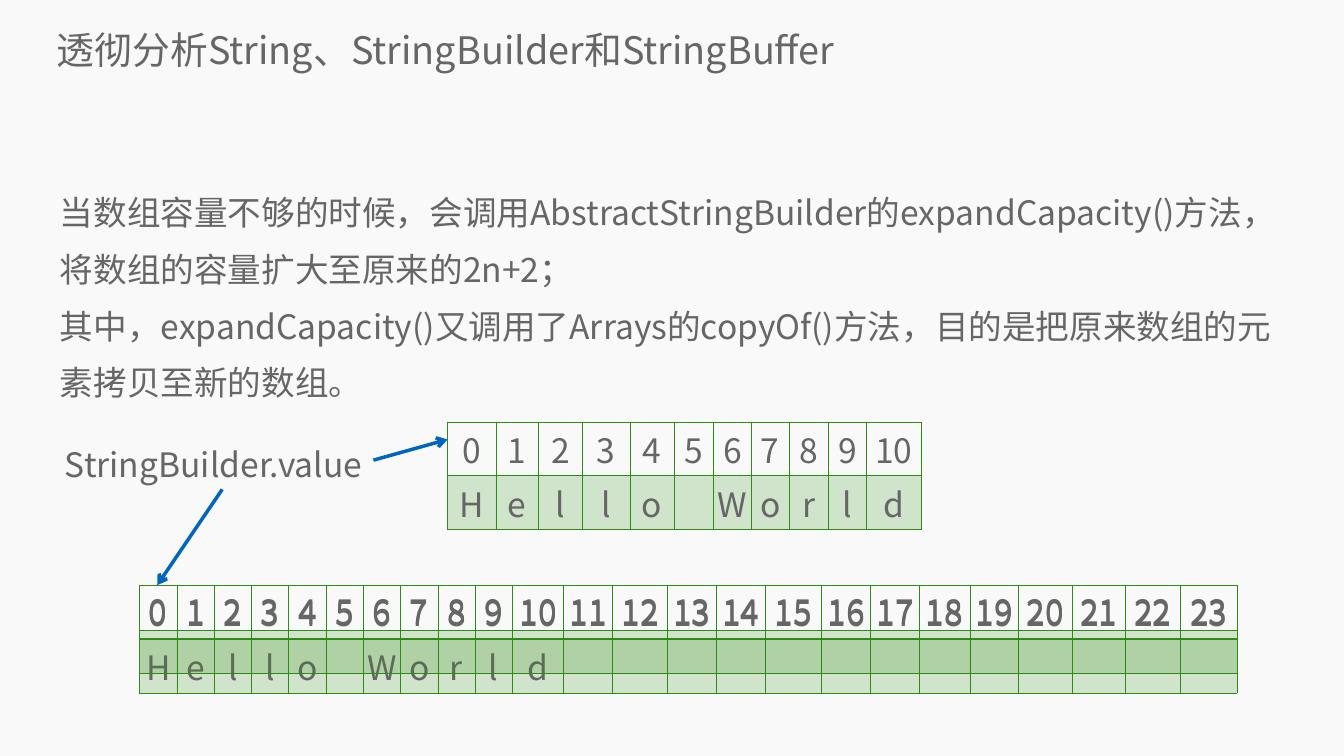
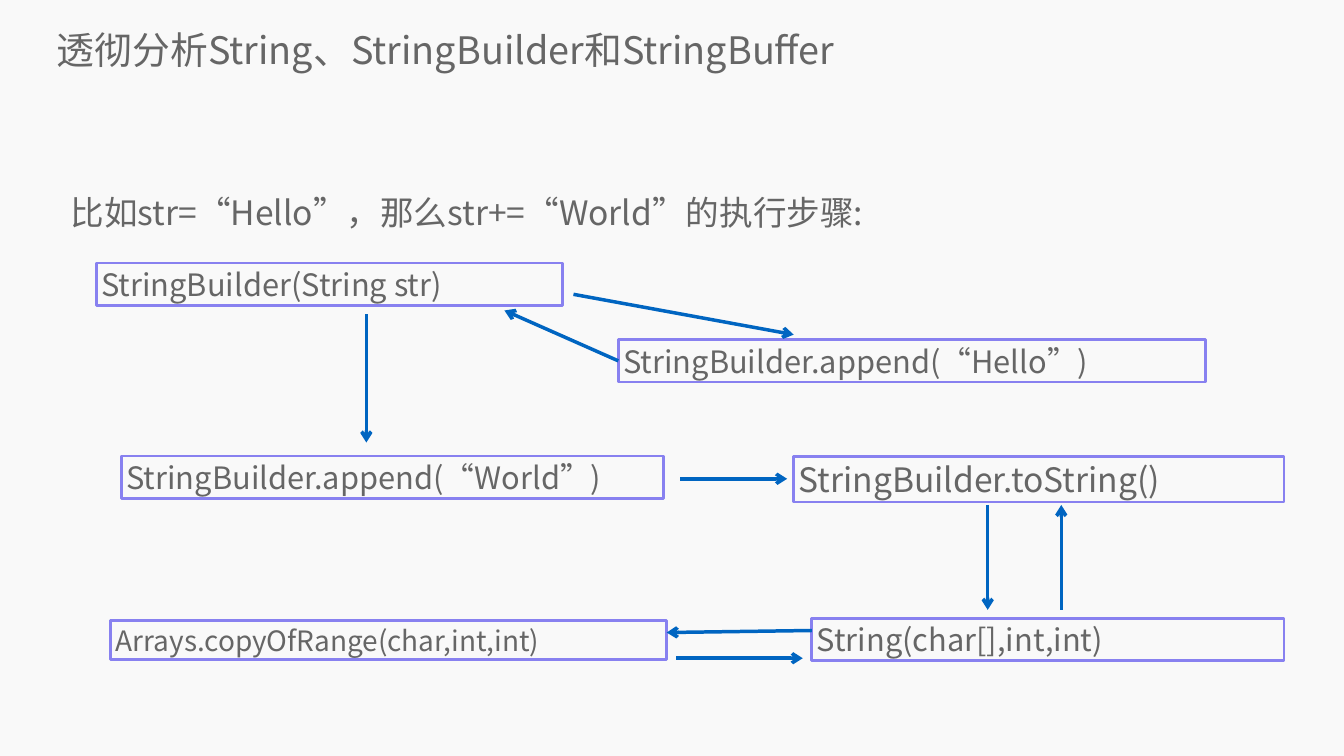
from lxml import etree
from pptx import Presentation
from pptx.dml.color import RGBColor
from pptx.enum.shapes import MSO_CONNECTOR, MSO_SHAPE
from pptx.enum.text import MSO_ANCHOR, PP_ALIGN
from pptx.oxml.ns import qn
from pptx.util import Inches, Pt

STRAIGHT = MSO_CONNECTOR.STRAIGHT
RECTANGLE = MSO_SHAPE.RECTANGLE
TOP, MIDDLE = MSO_ANCHOR.TOP, MSO_ANCHOR.MIDDLE
LEFT, CENTER = PP_ALIGN.LEFT, PP_ALIGN.CENTER
LEFT_SIDE = 1

FONT = "Noto Sans CJK SC"
BACKGROUND, INK = "F9F9F9", "666666"
GREEN, BLUE, PURPLE = "308B16", "0065C1", "8881F0"
TITLE = "透彻分析String、StringBuilder和StringBuffer"
SMALL_COLUMNS = [0.96, 0.84, 0.88, 0.94, 0.88, 0.78, 0.75, 0.75, 0.78, 0.75, 1.09]
LARGE_COLUMNS = [0.74] * 10 + [1.02, 0.97, 1.09, 0.97, 0.97, 1.12, 0.97,
                               0.97, 1, 0.97, 1.06, 1.06, 1.09, 1.12]


def color(value):
    return RGBColor.from_string(value)


def add_run(paragraph, text, size):
    run = paragraph.add_run()
    run.text = text
    run.font.size = Pt(size)
    run.font.name = FONT
    run.font.color.rgb = color(INK)
    east_asian = etree.SubElement(run._r.get_or_add_rPr(), qn("a:ea"))
    east_asian.set("typeface", FONT)


def fill_frame(frame, paragraphs, size, anchor, side_margin=0.0, leading=None, indent=0.0):
    frame.word_wrap = True
    frame.vertical_anchor = anchor
    frame.margin_left = frame.margin_right = Inches(side_margin)
    frame.margin_top = frame.margin_bottom = 0
    for index, text in enumerate(paragraphs):
        paragraph = frame.add_paragraph() if index else frame.paragraphs[0]
        paragraph.alignment = LEFT
        if leading:
            paragraph.line_spacing = Pt(leading)
        if indent:
            properties = paragraph._p.get_or_add_pPr()
            properties.set("marL", str(Inches(indent)))
            properties.set("indent", "0")
        add_run(paragraph, text, size)


def add_text(slide, left, top, width, height, paragraphs, size, anchor=MIDDLE, **layout):
    box = slide.shapes.add_textbox(Inches(left), Inches(top), Inches(width), Inches(height))
    fill_frame(box.text_frame, paragraphs, size, anchor, **layout)


def add_content_slide(deck, paragraphs, indent=0.0):
    slide = deck.slides.add_slide(deck.slide_layouts[6])
    slide.background.fill.solid()
    slide.background.fill.fore_color.rgb = color(BACKGROUND)
    add_text(slide, 1.13, 0.47, 25.16, 1.02, [TITLE], 54)
    add_text(slide, 1.19, 3.49, 24.28, 11.24, paragraphs, 48, TOP, leading=81, indent=indent)
    return slide


def add_step(slide, left, top, width, height, call, size=44):
    step = slide.shapes.add_shape(
        RECTANGLE, Inches(left), Inches(top), Inches(width), Inches(height))
    step.shadow.inherit = False
    step.fill.background()
    step.line.color.rgb = color(PURPLE)
    step.line.width = Pt(4)
    fill_frame(step.text_frame, [call], size, MIDDLE, side_margin=0.1)
    return step


def add_arrow(slide, start, end):
    arrow = slide.shapes.add_connector(
        STRAIGHT, *(Inches(value) for value in start + end))
    arrow.line.color.rgb = color(BLUE)
    arrow.line.width = Pt(5)
    etree.SubElement(arrow.line._get_or_add_ln(), qn("a:tailEnd")).set("type", "arrow")
    etree.SubElement(arrow._element.spPr, qn("a:effectLst"))
    return arrow


def style_cell(cell, is_value):
    properties = cell._tc.get_or_add_tcPr()
    for side in ("L", "R", "T", "B"):
        border = etree.SubElement(properties, qn("a:ln" + side))
        border.set("w", str(Pt(2 if side == "B" and not is_value else 1)))
        solid = etree.SubElement(border, qn("a:solidFill"))
        etree.SubElement(solid, qn("a:srgbClr")).set("val", GREEN)
    if is_value:
        cell.fill.solid()
        cell.fill.fore_color.rgb = color(GREEN)
        tint = properties.find(qn("a:solidFill")).find(qn("a:srgbClr"))
        etree.SubElement(tint, qn("a:alpha")).set("val", "20000")
    else:
        cell.fill.background()


def add_array(slide, left, top, columns, letters, row_heights, cell_margin=0.05):
    count = len(columns)
    array = slide.shapes.add_table(
        2, count, Inches(left), Inches(top),
        Inches(sum(columns)), Inches(sum(row_heights))).table
    array.first_row = array.horz_banding = False
    for column, width in zip(array.columns, columns):
        column.width = Inches(width)
    for row, height in zip(array.rows, row_heights):
        row.height = Inches(height)
    contents = [[str(index) for index in range(count)], letters.ljust(count)]
    for row_index, values in enumerate(contents):
        for column_index, value in enumerate(values):
            cell = array.cell(row_index, column_index)
            cell.margin_left = cell.margin_right = 0
            cell.margin_top = cell.margin_bottom = Inches(cell_margin)
            style_cell(cell, row_index == 1)
            if value.strip():
                paragraph = cell.text_frame.paragraphs[0]
                paragraph.alignment = CENTER
                add_run(paragraph, value, 48)


def build_expansion(deck):
    slide = add_content_slide(deck, [
        "当数组容量不够的时候，会调用AbstractStringBuilder的expandCapacity()方法，"
        "将数组的容量扩大至原来的2n+2；",
        "其中，expandCapacity()又调用了Arrays的copyOf()方法，"
        "目的是把原来数组的元素拷贝至新的数组。",
    ])
    add_array(slide, 8.88, 8.37, SMALL_COLUMNS, "Hello World", (1.07, 1.07))
    add_array(slide, 2.77, 11.61, LARGE_COLUMNS, "Hello World", (1.07, 1.07))
    add_text(slide, 1.19, 8.76, 6.5, 0.91, ["StringBuilder.value"], 48, side_margin=0.1)
    add_arrow(slide, (7.41, 9.13), (8.88, 8.72))
    add_arrow(slide, (4.41, 9.71), (3.12, 11.61))
    add_array(slide, 2.77, 11.61, LARGE_COLUMNS, "", (0.9, 0.84), cell_margin=0)


def build_concatenation(deck):
    slide = add_content_slide(
        deck, ["比如str=“Hello”，那么str+=“World”的执行步骤:"], indent=0.21)
    add_step(slide, 1.91, 5.22, 9.25, 0.84, "StringBuilder(String str)")
    append_hello = add_step(slide, 12.27, 6.74, 11.65, 0.84, "StringBuilder.append(“Hello”)")
    add_step(slide, 2.41, 9.05, 10.75, 0.84, "StringBuilder.append(“World”)")
    add_step(slide, 15.75, 9.05, 9.73, 0.91, "StringBuilder.toString()", 48)
    add_step(slide, 16.11, 12.27, 9.37, 0.84, "String(char[],int,int)")
    add_step(slide, 2.2, 12.31, 11.03, 0.77, "Arrays.copyOfRange(char,int,int)", 40)

    hello_return = add_arrow(slide, (12.27, 7.16), (10.01, 6.16))
    hello_return.begin_connect(append_hello, LEFT_SIDE)
    for start, end in (
        ((11.38, 5.84), (15.75, 6.64)),
        ((7.27, 6.24), (7.27, 8.78)),
        ((13.5, 9.5), (15.62, 9.5)),
        ((19.6, 10.02), (19.6, 12.1)),
        ((16.11, 12.51), (13.23, 12.55)),
        ((13.42, 13.06), (15.93, 13.06)),
        ((21.06, 12.1), (21.06, 10.02)),
    ):
        add_arrow(slide, start, end)


def main():
    deck = Presentation()
    deck.slide_width, deck.slide_height = Inches(26.67), Inches(15)
    build_expansion(deck)
    build_concatenation(deck)
    deck.save("out.pptx")


if __name__ == "__main__":
    main()
